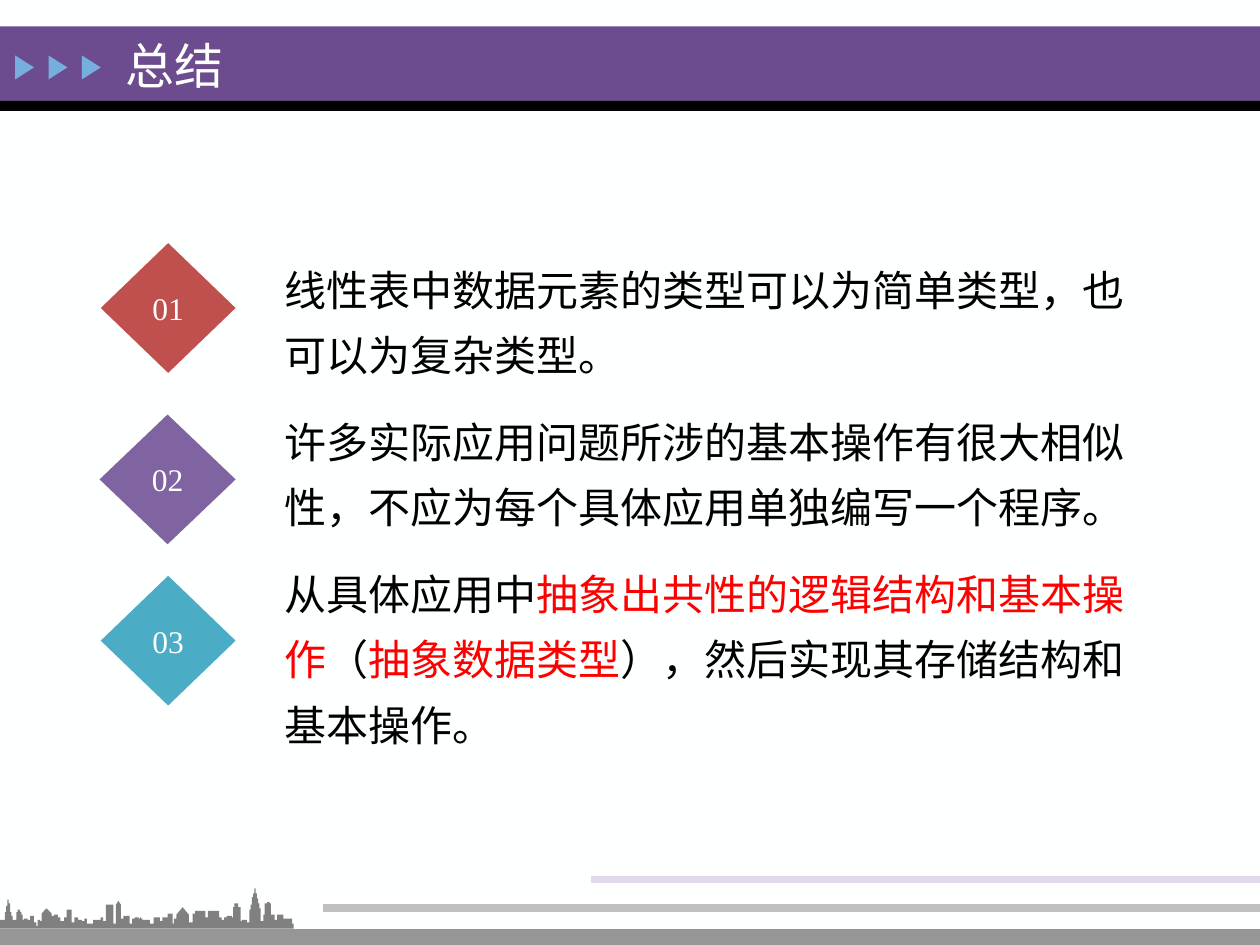
from typing import NamedTuple

from lxml import etree
from pptx import Presentation, util as u
from pptx.dml.color import RGBColor
from pptx.enum import shapes, text
from pptx.oxml.ns import qn

# The slide is a grid of 100 columns by 75 rows, each cell 0.1 inch square
COLUMNS, ROWS, CELL = 100, 75, 0.1
FONT = "Times New Roman"
WHITE, BLACK, RED = "FEFFFF", "000000", "FF0000"


class Area(NamedTuple):
    left: float
    top: float
    width: float
    height: float


class Marker(NamedTuple):
    label: str
    left: float
    top: float
    width: float
    color: str


class Rule(NamedTuple):
    start: float
    row: float
    color: str
    weight: float


class Phrase(NamedTuple):
    words: str
    color: str = BLACK


MARKERS = [
    Marker("01", 8, 19.3, 10.7, "C0504D"),
    Marker("02", 7.9, 32.9, 10.8, "8064A2"),
    Marker("03", 8, 45.7, 10.7, "4BACC6"),
]
RULES = [
    Rule(0, 74.5, "969696", 11.25),
    Rule(25.6, 72.1, "C0C0C0", 4.5),
    Rule(46.9, 69.8, "E2D9EB", 4.5),
]
CONCLUSIONS = [
    [Phrase("线性表中数据元素的类型可以为简单类型，也可以为复杂类型。")],
    [Phrase("许多实际应用问题所涉的基本操作有很大相似性，不应为每个具体应用单独编写一个程序。")],
    [
        Phrase("从具体应用中"),
        Phrase("抽象出共性的逻辑结构和基本操作", RED),
        Phrase("（"),
        Phrase("抽象数据类型", RED),
        Phrase("），然后实现其存储结构和基本操作。"),
    ],
]

# Skyline roofs as (start, height), in tenths of a cell
SKYLINE_BASE, SKYLINE_END = 737, 233
ROOFS = [
    (0, 7), (4, 13), (5, 18), (6, 23), (7, 20), (8, 13), (9, 10), (10, 7),
    (13, 13), (14, 15), (16, 13), (17, 11), (18, 7), (19, 8), (22, 7),
    (24, 10), (27, 5), (29, 2), (30, 7), (32, 6), (33, 12), (41, 10),
    (43, 11), (46, 9), (48, 6), (51, 9), (53, 15), (57, 5), (59, 9), (62, 7),
    (65, 6), (67, 8), (69, 4), (74, 7), (80, 9), (82, 6), (84, 19), (90, 4),
    (92, 19), (96, 8), (98, 10), (103, 4), (105, 8), (107, 9), (110, 8),
    (111, 9), (112, 8), (113, 7), (119, 4), (122, 9), (127, 6), (129, 9),
    (133, 12), (137, 4), (138, 8), (140, 11), (150, 5), (153, 12), (155, 14),
    (163, 9), (165, 14), (174, 9), (176, 7), (178, 9), (180, 10), (184, 9),
    (185, 17), (186, 20), (189, 17), (191, 6), (192, 7), (196, 5), (198, 15),
    (199, 19), (200, 25), (201, 28), (202, 32), (203, 28), (204, 24),
    (205, 20), (206, 16), (207, 6), (209, 11), (210, 20), (212, 21),
    (214, 20), (215, 11), (218, 7), (220, 11), (225, 8), (232, 4),
]
GABLES = {33: 16, 92: 22, 140: 17}  # roof start: height of its apex


def cells(count: float) -> u.Length:
    return u.Inches(count * CELL)


def rgb(color: str) -> RGBColor:
    return RGBColor.from_string(color)


def paint(shape, color: str) -> None:
    shape.shadow.inherit = False
    shape.fill.solid()
    shape.fill.fore_color.rgb = rgb(color)
    shape.line.fill.background()


def add_solid(slide, preset, area: Area, color: str):
    solid = slide.shapes.add_shape(preset, *map(cells, area))
    paint(solid, color)
    return solid


def add_run(paragraph, phrase: Phrase, size: float) -> None:
    run = paragraph.add_run()
    run.text = phrase.words
    run.font.size = u.Pt(size)
    run.font.name = FONT
    run.font.color.rgb = rgb(phrase.color)


def add_text_area(slide, area: Area, anchor):
    frame = slide.shapes.add_textbox(*map(cells, area)).text_frame
    frame.word_wrap = True
    frame.vertical_anchor = anchor
    return frame


def add_rule(slide, rule: Rule) -> None:
    line = slide.shapes.add_connector(
        shapes.MSO_CONNECTOR.STRAIGHT,
        cells(rule.start), cells(rule.row), cells(COLUMNS), cells(rule.row))
    line.line.color.rgb = rgb(rule.color)
    line.line.width = u.Pt(rule.weight)
    etree.SubElement(line._element.spPr, qn("a:effectLst"))


def add_skyline(slide, color: str) -> None:
    outline = []
    ends = [start for start, _ in ROOFS[1:]] + [SKYLINE_END]
    for (start, height), end in zip(ROOFS, ends):
        outline.append((start, SKYLINE_BASE - height))
        if start in GABLES:
            outline.append(((start + end) / 2, SKYLINE_BASE - GABLES[start]))
        outline.append((end, SKYLINE_BASE - height))
    outline.append((SKYLINE_END, SKYLINE_BASE))
    builder = slide.shapes.build_freeform(0, SKYLINE_BASE, scale=cells(0.1))
    builder.add_line_segments(outline, close=True)
    paint(builder.convert_to_shape(), color)


def add_marker(slide, marker: Marker) -> None:
    area = Area(marker.left, marker.top, marker.width, 10.3)
    diamond = add_solid(slide, shapes.MSO_SHAPE.DIAMOND, area, marker.color)
    diamond.text_frame.vertical_anchor = text.MSO_ANCHOR.MIDDLE
    label = diamond.text_frame.paragraphs[0]
    label.alignment = text.PP_ALIGN.CENTER
    add_run(label, Phrase(marker.label, WHITE), 18)


def add_conclusions(slide) -> None:
    frame = add_text_area(slide, Area(21.6, 19.3, 70.1, 41.8), text.MSO_ANCHOR.TOP)
    for index, phrases in enumerate(CONCLUSIONS):
        paragraph = frame.add_paragraph() if index else frame.paragraphs[0]
        paragraph.line_spacing = 1.3
        if index:
            paragraph.space_before = u.Pt(12)
        for phrase in phrases:
            add_run(paragraph, phrase, 24)


def main() -> None:
    deck = Presentation()
    deck.slide_width, deck.slide_height = cells(COLUMNS), cells(ROWS)
    slide = deck.slides.add_slide(deck.slide_layouts[6])
    slide.background.fill.solid()
    slide.background.fill.fore_color.rgb = rgb(WHITE)

    # Header band with three arrowheads
    add_solid(slide, shapes.MSO_SHAPE.RECTANGLE, Area(0, 2.1, COLUMNS, 5.9), "6C4C8F")
    add_solid(slide, shapes.MSO_SHAPE.RECTANGLE, Area(0, 8, COLUMNS, 0.8), BLACK)
    for step in range(3):
        arrowhead = add_solid(slide, shapes.MSO_SHAPE.ISOSCELES_TRIANGLE,
                              Area(1 + 2.65 * step, 4.6, 1.9, 1.5), "76AEDD")
        arrowhead.rotation = 90

    # Footer rules and city skyline
    for rule in RULES:
        add_rule(slide, rule)
    add_skyline(slide, "808080")

    # Title and numbered conclusions
    add_conclusions(slide)
    title = add_text_area(slide, Area(9, 1.8, 54, 6.7), text.MSO_ANCHOR.MIDDLE)
    add_run(title.paragraphs[0], Phrase("总结", WHITE), 28)
    for marker in MARKERS:
        add_marker(slide, marker)

    deck.save("out.pptx")


if __name__ == "__main__":
    main()
